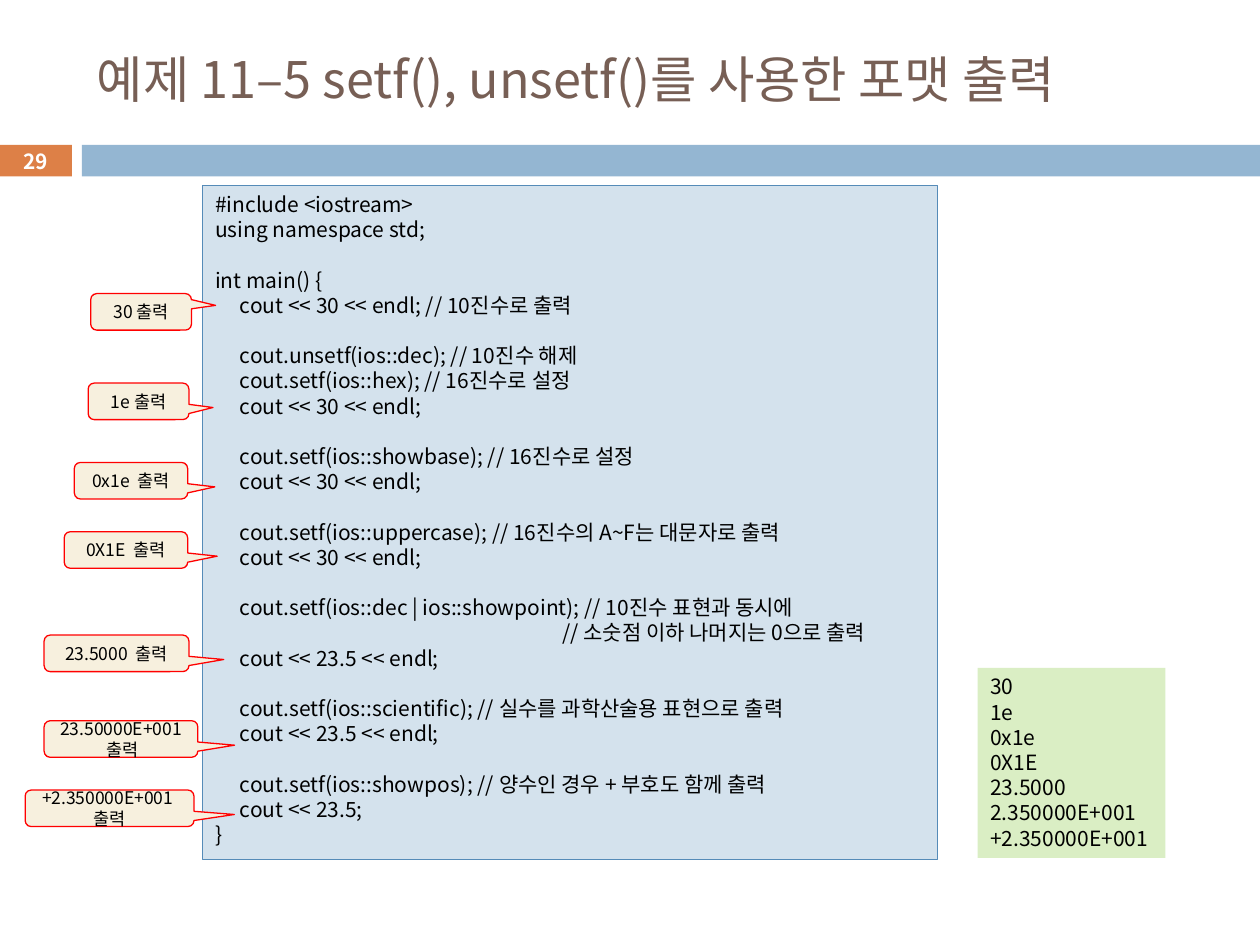
"""Build the slide on setf() and unsetf() output formatting."""
from dataclasses import dataclass

import pptx
import pptx.dml.color
import pptx.enum.shapes
import pptx.enum.text
import pptx.oxml
import pptx.oxml.ns
import pptx.util
from pptx.shapes.autoshape import Shape

Kind = pptx.enum.shapes.MSO_SHAPE
Align = pptx.enum.text.PP_ALIGN
Anchor = pptx.enum.text.MSO_ANCHOR


@dataclass(frozen=True)
class Theme:
    """Colours, type sizes and grid of the slide."""
    font: str = "Noto Sans CJK KR"
    black: str = "000000"
    white: str = "FFFFFF"
    brown: str = "775F55"
    orange: str = "DD8047"
    blue: str = "94B6D2"
    pale: str = "D4E2ED"
    edge: str = "558BB8"
    green: str = "DAEEC4"
    cream: str = "F7F0DE"
    red: str = "FF0000"
    title: float = 28.8
    page: float = 11.9
    code: float = 12
    note: float = 10
    lead: float = 1.2
    rule: float = 0.75
    cols: int = 1000
    rows: int = 750
    tab: int = 180000
    tabs: int = 14


@dataclass(frozen=True)
class Box:
    """Place of a shape in grid columns and rows."""
    col: float
    row: float
    wide: float
    high: float


@dataclass(frozen=True)
class Note:
    """Callout that states the output of one code line."""
    col: float
    row: float
    wide: float
    text: str
    tip: float = 0.17


THEME = Theme()
TITLE = "예제 11–5 setf(), unsetf()를 사용한 포맷 출력"
CODE = """#include <iostream>
using namespace std;

int main() {
	cout << 30 << endl; // 10진수로 출력

	cout.unsetf(ios::dec); // 10진수 해제
	cout.setf(ios::hex); // 16진수로 설정
	cout << 30 << endl;

	cout.setf(ios::showbase); // 16진수로 설정
	cout << 30 << endl;

	cout.setf(ios::uppercase); // 16진수의 A~F는 대문자로 출력
	cout << 30 << endl;

	cout.setf(ios::dec | ios::showpoint); // 10진수 표현과 동시에
														// 소숫점 이하 나머지는 0으로 출력
	cout << 23.5 << endl;

	cout.setf(ios::scientific); // 실수를 과학산술용 표현으로 출력
	cout << 23.5 << endl;

	cout.setf(ios::showpos); // 양수인 경우 + 부호도 함께 출력
	cout << 23.5;
}"""
RESULT = """30
1e
0x1e
0X1E
23.5000
2.350000E+001
+2.350000E+001"""
NOTES = (
    Note(72, 233, 80, "30 출력", -0.177),
    Note(70, 304, 80, "1e 출력"),
    Note(59, 367, 90, "0x1e  출력"),
    Note(51, 422, 98, "0X1E  출력"),
    Note(35, 504, 115, "23.5000  출력"),
    Note(35, 572, 122, "23.50000E+001  출력"),
    Note(20, 627, 134, "+2.350000E+001  출력"),
)

deck = pptx.Presentation()
deck.slide_width = pptx.util.Inches(10)
deck.slide_height = pptx.util.Inches(7.5)
slide = deck.slides.add_slide(deck.slide_layouts[6])


def place(box: Box) -> tuple[int, int, int, int]:
    """Turn grid units into slide lengths."""
    wide = deck.slide_width / THEME.cols
    high = deck.slide_height / THEME.rows
    return (round(box.col * wide), round(box.row * high),
            round(box.wide * wide), round(box.high * high))


def tint(name: str) -> pptx.dml.color.RGBColor:
    """Return the colour for a hex name."""
    return pptx.dml.color.RGBColor.from_string(name)


def panel(box: Box, fill: str, line: str = "",
          kind: Kind = Kind.RECTANGLE) -> Shape:
    """Draw a filled shape with an optional outline."""
    shape = slide.shapes.add_shape(kind, *place(box))
    shape.shadow.inherit = False
    shape.fill.solid()
    shape.fill.fore_color.rgb = tint(fill)
    if line:
        shape.line.color.rgb = tint(line)
        shape.line.width = pptx.util.Pt(THEME.rule)
    else:
        shape.line.fill.background()
    return shape


def write(shape: Shape, text: str, size: float, ink: str = THEME.black,
          align: Align = Align.LEFT, anchor: Anchor = Anchor.MIDDLE,
          bold: bool = False, wrap: bool = True) -> None:
    """Set and format the text of a shape."""
    frame = shape.text_frame
    frame.text = text
    frame.word_wrap = wrap
    frame.vertical_anchor = anchor
    for para in frame.paragraphs:
        para.alignment = align
        if size <= THEME.code:
            para.line_spacing = pptx.util.Pt(size * THEME.lead)
        if "\t" in para.text:
            stops = pptx.oxml.parse_xml(
                f"<a:tabLst {pptx.oxml.ns.nsdecls('a')}>" + "".join(
                    f'<a:tab pos="{THEME.tab * step}" algn="l"/>'
                    for step in range(1, THEME.tabs + 1)) + "</a:tabLst>")
            para._p.get_or_add_pPr().append(stops)
        para.font.size = pptx.util.Pt(size)
        for run in para.runs:
            run.font.name = THEME.font
            run.font.size = pptx.util.Pt(size)
            run.font.bold = bold
            run.font.color.rgb = tint(ink)
            east = pptx.oxml.parse_xml(
                f"<a:ea {pptx.oxml.ns.nsdecls('a')} typeface=\"{THEME.font}\"/>")
            run.font._element.append(east)


def callout(note: Note) -> None:
    """Draw one output callout pointing at the code."""
    shape = panel(Box(note.col, note.row, note.wide, 29), THEME.cream,
                  THEME.red, Kind.ROUNDED_RECTANGULAR_CALLOUT)
    for index, value in enumerate((0.739, note.tip, 0.167)):
        shape.adjustments[index] = value
    write(shape, note.text, THEME.note, align=Align.CENTER)


def main() -> None:
    """Draw the slide and save it."""
    badge = panel(Box(-1, 115, 58, 25), THEME.orange)
    write(badge, "29", THEME.page, THEME.white, Align.CENTER, bold=True)
    panel(Box(65, 115, 935, 25), THEME.blue)
    head = slide.shapes.add_textbox(*place(Box(67, 25, 892, 74)))
    write(head, TITLE, THEME.title, THEME.brown)
    code = panel(Box(161, 147, 583, 535), THEME.pale, THEME.edge)
    write(code, CODE, THEME.code, anchor=Anchor.TOP)
    result = panel(Box(776, 530, 149, 151), THEME.green)
    write(result, RESULT, THEME.code, anchor=Anchor.TOP, wrap=False)
    for note in NOTES:
        callout(note)
    deck.save("out.pptx")


if __name__ == "__main__":
    main()
